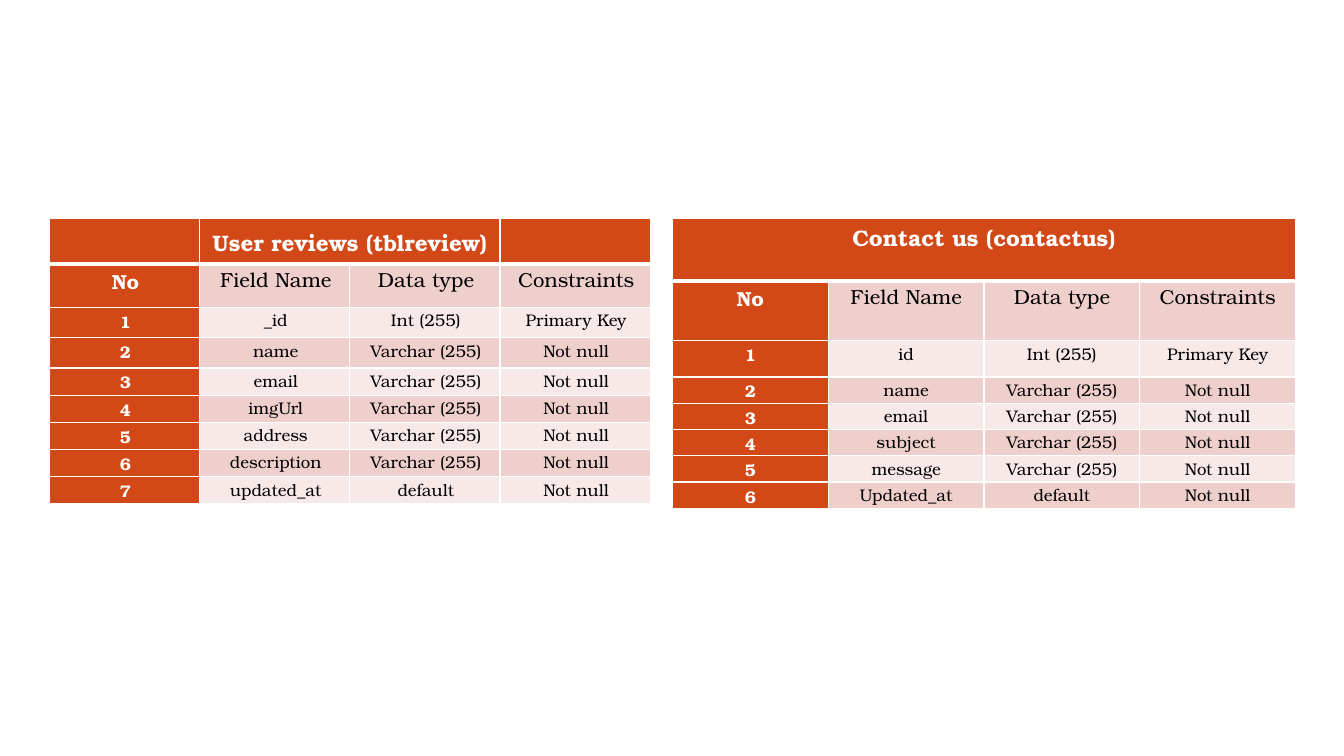
import pptx
import pptx.dml.color
import pptx.enum.text
import pptx.oxml
import pptx.oxml.ns
import pptx.util
from pptx.util import Inches

ORANGE = pptx.dml.color.RGBColor(0xD3, 0x48, 0x17)
DARK_BAND = pptx.dml.color.RGBColor(0xEF, 0xCF, 0xCC)
LIGHT_BAND = pptx.dml.color.RGBColor(0xF7, 0xE9, 0xE8)
WHITE = pptx.dml.color.RGBColor(0xFF, 0xFF, 0xFF)
BLACK = pptx.dml.color.RGBColor(0, 0, 0)
FONT = "TeX Gyre Bonum"


def add_border(cell, side, points):
    """Draw a white line on one side of the cell: L, R, T or B."""
    cell._tc.get_or_add_tcPr().append(pptx.oxml.parse_xml(
        f'<a:ln{side} {pptx.oxml.ns.nsdecls("a")} w="{pptx.util.Pt(points)}">'
        f'<a:solidFill><a:srgbClr val="{WHITE}"/></a:solidFill></a:ln{side}>'))


HEADINGS = ["No", "Field Name", "Data type", "Constraints"]
INT, VARCHAR, NOT_NULL = "Int (255)", "Varchar (255)", "Not null"

# Title, title columns, title anchor, left, column width, row heights, left inset, fields
entities = [
    ("User reviews (tblreview)", (1, 2), pptx.enum.text.MSO_ANCHOR.MIDDLE,
     0.49, 1.49, [0.45, 0.43, 0.3, 0.3] + [0.27] * 5, 0.09,
     [("_id", INT, "Primary Key"), ("name", VARCHAR, NOT_NULL),
      ("email", VARCHAR, NOT_NULL), ("imgUrl", VARCHAR, NOT_NULL),
      ("address", VARCHAR, NOT_NULL), ("description", VARCHAR, NOT_NULL),
      ("updated_at", "default", NOT_NULL)]),
    ("Contact us (contactus)", (0, 3), pptx.enum.text.MSO_ANCHOR.TOP,
     6.67, 1.545, [0.62, 0.59, 0.36] + [0.26] * 5, 0.07,
     [("id", INT, "Primary Key"), ("name", VARCHAR, NOT_NULL),
      ("email", VARCHAR, NOT_NULL), ("subject", VARCHAR, NOT_NULL),
      ("message", VARCHAR, NOT_NULL), ("Updated_at", "default", NOT_NULL)]),
]

presentation = pptx.Presentation()
presentation.slide_width = Inches(13.33)
presentation.slide_height = Inches(7.5)
slide = presentation.slides.add_slide(presentation.slide_layouts[6])

for title, (first, last), title_anchor, left, column_width, heights, inset, fields in entities:
    title_row = [title if column == first else "" for column in range(4)]
    rows = [title_row, HEADINGS]
    rows += [(str(number), *field) for number, field in enumerate(fields, 1)]
    table = slide.shapes.add_table(
        len(rows), 4, Inches(left), Inches(2.17),
        Inches(4 * column_width), Inches(sum(heights))).table
    table.horz_banding = False
    for column in table.columns:
        column.width = Inches(column_width)
    table.cell(0, first).merge(table.cell(0, last))

    for r, (texts, height) in enumerate(zip(rows, heights)):
        table.rows[r].height = Inches(height)
        for c, text in enumerate(texts):
            cell = table.cell(r, c)
            emphasis = r == 0 or c == 0
            for side in "LRTB":
                under_title = (r, side) in [(0, "B"), (1, "T")]
                add_border(cell, side, 3 if under_title else 1)
            cell.fill.solid()
            band = DARK_BAND if r % 2 else LIGHT_BAND
            cell.fill.fore_color.rgb = ORANGE if emphasis else band
            cell.margin_left = Inches(inset if r else 0.07)
            cell.margin_right = Inches(0.07)
            cell.margin_top = cell.margin_bottom = 0
            if r == 0:
                cell.vertical_anchor = title_anchor
            if not text:
                continue
            paragraph = cell.text_frame.paragraphs[0]
            paragraph.text = text
            paragraph.alignment = pptx.enum.text.PP_ALIGN.CENTER
            paragraph.line_spacing = 1.07
            paragraph.space_after = pptx.util.Pt(8)
            font = paragraph.runs[0].font
            font.name = FONT
            font.size = pptx.util.Pt({0: 16, 1: 14.5}.get(r, 12))
            font.bold = emphasis
            font.color.rgb = WHITE if emphasis else BLACK

presentation.save("out.pptx")
